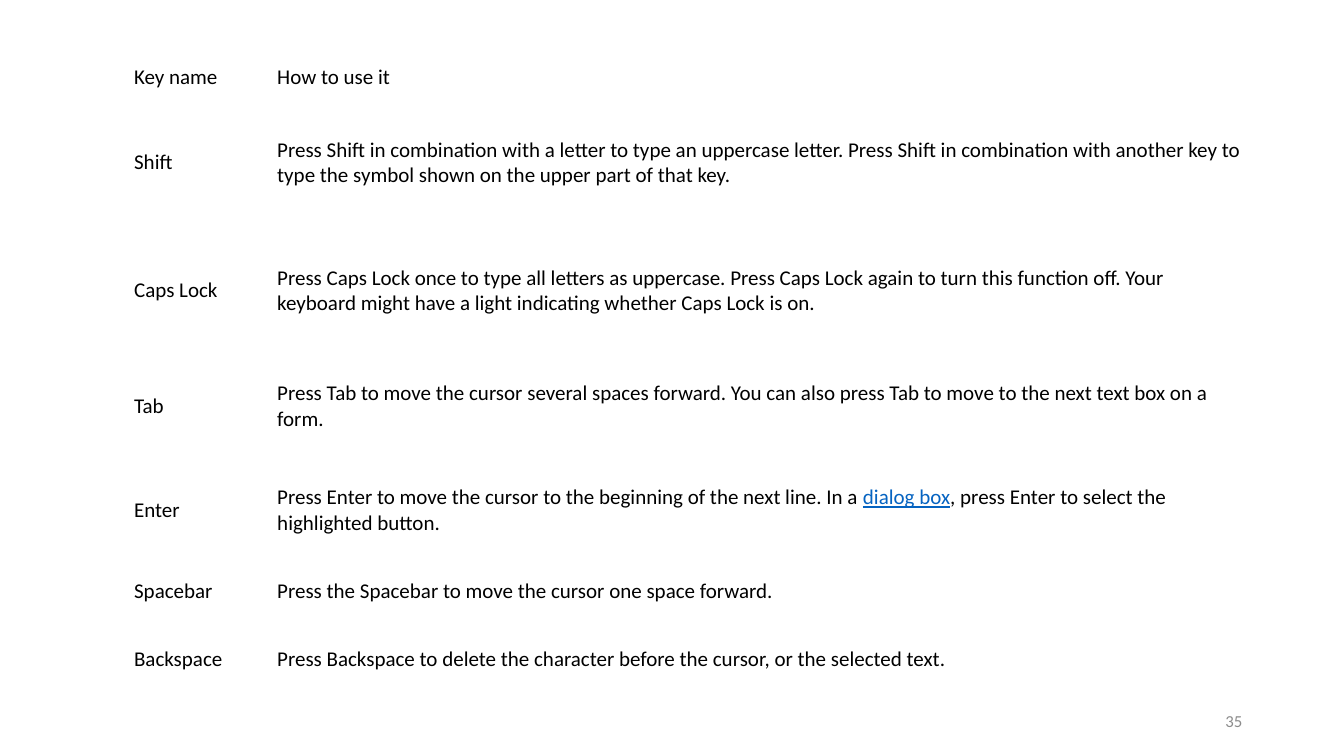
"""Build a slide with a table of keyboard keys and their uses."""
from pptx import Presentation
from pptx.dml.color import RGBColor
from pptx.enum import text
from pptx.util import Inches, Pt

KEY_USES = [
    ("Key name", "How to use it", 0.43),
    ("Shift", "Press Shift in combination with a letter to type an uppercase letter. "
     "Press Shift in combination with another key to type the symbol shown on the "
     "upper part of that key.", 1.27),
    ("Caps Lock", "Press Caps Lock once to type all letters as uppercase. Press Caps Lock "
     "again to turn this function off. Your keyboard might have a light indicating "
     "whether Caps Lock is on.", 1.27),
    ("Tab", "Press Tab to move the cursor several spaces forward. You can also press Tab "
     "to move to the next text box on a form.", 1.03),
    ("Enter", "Press Enter to move the cursor to the beginning of the next line. In a "
     "dialog box, press Enter to select the highlighted button.", 1.03),
    ("Spacebar", "Press the Spacebar to move the cursor one space forward.", 0.57),
    ("Backspace", "Press Backspace to delete the character before the cursor, or the "
     "selected text.", 0.79),
]
LINK_TERM = "dialog box"


def color(value):
    """Turn a hex string into a colour."""
    return RGBColor.from_string(value)


def add_text(paragraph, words, size=15, fill="000000", underline=False, font="Calibri"):
    """Add a formatted run to a paragraph."""
    run = paragraph.add_run()
    run.text = words
    run.font.name = font
    run.font.size = Pt(size)
    run.font.color.rgb = color(fill)
    run.font.underline = underline


class KeySlide:
    """Hold the style and the current slide."""

    link = "0563C1"
    muted = "8C8C8C"

    def __init__(self, deck):
        """Add a blank slide to the deck."""
        self.slide = deck.slides.add_slide(deck.slide_layouts[6])

    def page_number(self, number, left, top, width, height):
        """Add the right-aligned page number."""
        box = self.slide.shapes.add_textbox(*map(Inches, (left, top, width, height)))
        frame = box.text_frame
        frame.word_wrap = True
        frame.vertical_anchor = text.MSO_ANCHOR.MIDDLE
        frame.paragraphs[0].alignment = text.PP_ALIGN.RIGHT
        add_text(frame.paragraphs[0], number, size=12, fill=self.muted)

    def cell(self, cell, words):
        """Fill one table cell, marking the link term."""
        cell.fill.background()
        cell.vertical_anchor = text.MSO_ANCHOR.MIDDLE
        cell.margin_left = cell.margin_right = Inches(0.08)
        cell.margin_top = cell.margin_bottom = Inches(0.04)
        paragraph = cell.text_frame.paragraphs[0]
        before, term, after = words.partition(LINK_TERM)
        add_text(paragraph, before)
        if term:
            add_text(paragraph, term, fill=self.link, underline=True)
            add_text(paragraph, after)

    def table(self, rows, left, top, widths):
        """Add the plain table of keys."""
        height = sum(row[-1] for row in rows)
        frame = self.slide.shapes.add_table(
            len(rows), len(widths), *map(Inches, (left, top, sum(widths), height)))
        table = frame.table
        table.first_row = table.horz_banding = False
        for column, width in zip(table.columns, widths):
            column.width = Inches(width)
        for table_row, (key, use, row_height) in zip(table.rows, rows):
            table_row.height = Inches(row_height)
            for cell, words in zip(table_row.cells, (key, use)):
                self.cell(cell, words)


def main():
    """Build and save the presentation."""
    deck = Presentation()
    deck.slide_width, deck.slide_height = Inches(13.33), Inches(7.5)
    keys = KeySlide(deck)
    keys.page_number("35", 9.42, 6.95, 3, 0.4)
    keys.table(KEY_USES, 1.25, 0.55, (1.42, 9.74))
    deck.save("out.pptx")


if __name__ == "__main__":
    main()
